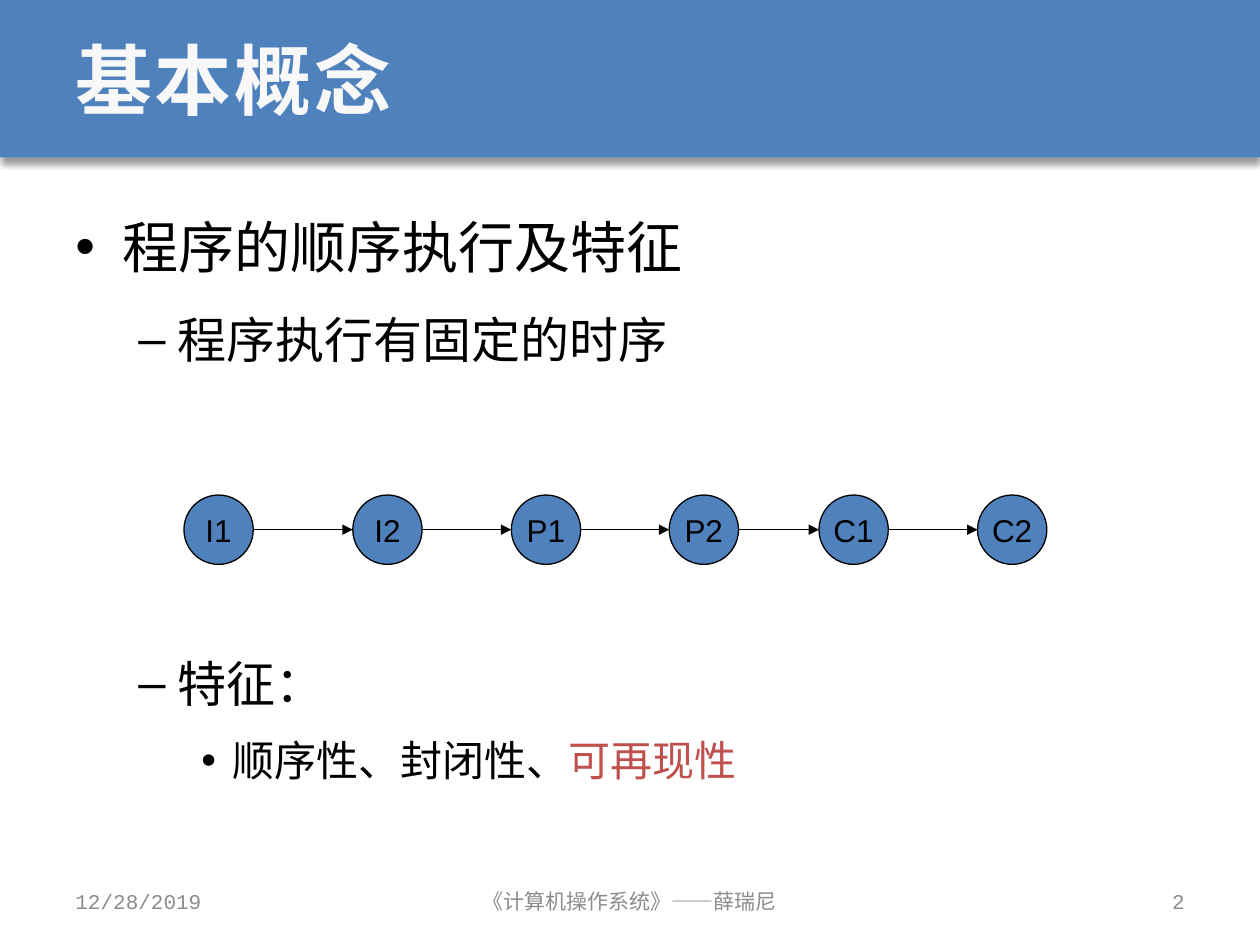
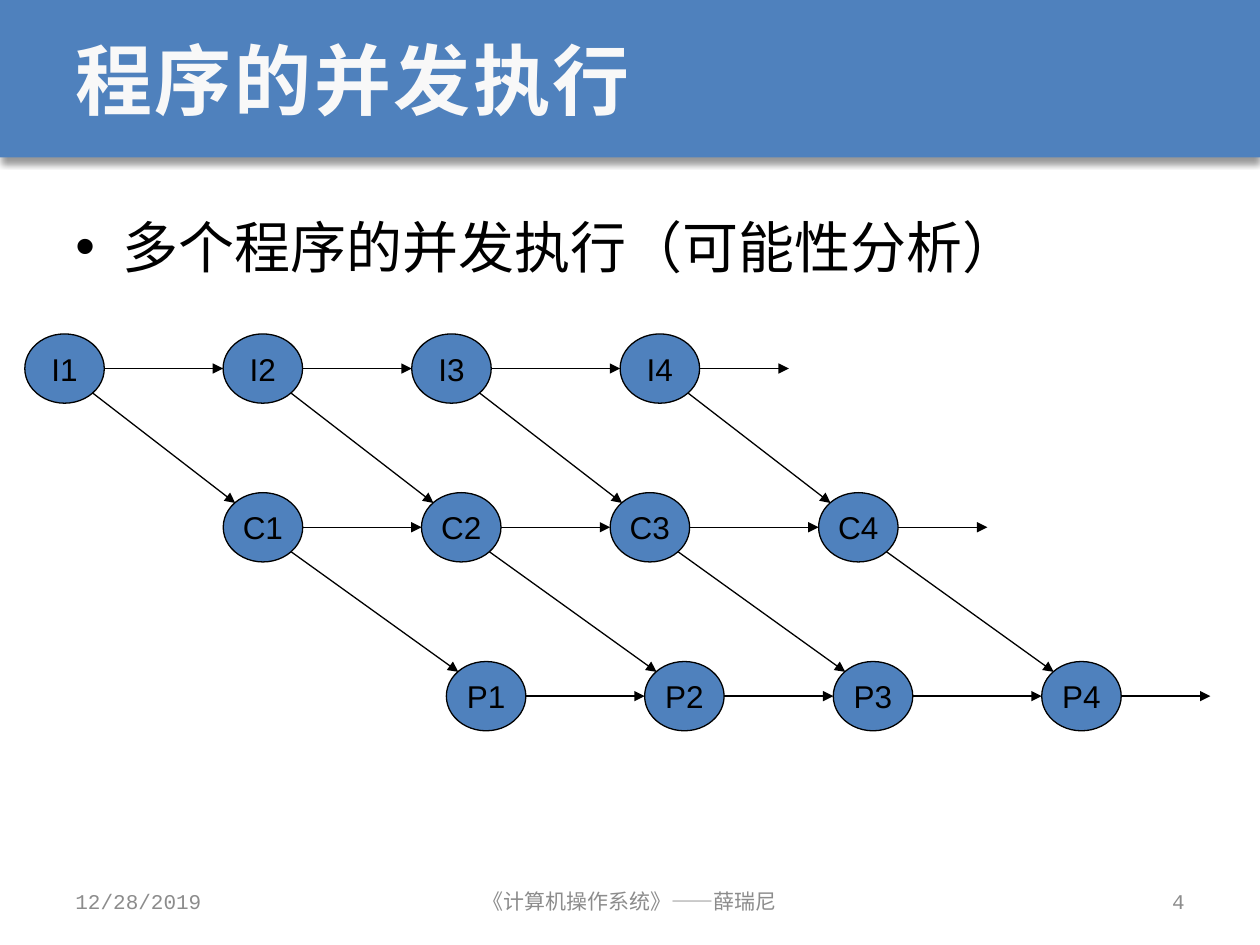
from itertools import pairwise

from lxml import etree
from pptx import Presentation
from pptx import util as u
from pptx.dml.color import RGBColor
from pptx.enum import shapes, text
from pptx.oxml import ns

Pt = u.Pt
BLUE, BLACK, RED, GREY, WHITE = "4F81BD", "000000", "C0504D", "8C8C8C", "F8F8F8"
MONO, SANS = "Courier New", "Arial"
LEFT, CENTER, RIGHT = text.PP_ALIGN.LEFT, text.PP_ALIGN.CENTER, text.PP_ALIGN.RIGHT
MIDDLE = text.MSO_ANCHOR.MIDDLE

# bullet, size, left indent and hanging indent for each outline level
LEVELS = [("•", 32, 27, 27), ("–", 28, 58.5, 22.5), ("•", 24, 90, 18)]

NODE_H = 39.6
ROW_NODE_W = 45.4
CORNER = 0.15  # share of a node's box between its corner and the outline


def rgb(value):
    return RGBColor.from_string(value)


def add_xml(parent, tag, **attrs):
    return etree.SubElement(parent, ns.qn(tag), attrs)


def add_run(p, words, color, **formats):
    r = p.add_run()
    r.text = words
    r.font.color.rgb = rgb(color)
    for key, value in formats.items():
        setattr(r.font, key, value)
    return r


def add_box(s, left, top, width, height, **formats):
    tf = s.shapes.add_textbox(Pt(left), Pt(top), Pt(width), Pt(height)).text_frame
    for key, value in {"word_wrap": True, **formats}.items():
        setattr(tf, key, value)
    return tf


def add_title(s, words):
    """Blue band with a soft shadow, and the title on it."""
    band = s.shapes.add_shape(shapes.MSO_SHAPE.RECTANGLE, 0, 0, Pt(720), Pt(90))
    band.fill.solid()
    band.fill.fore_color.rgb = rgb(BLUE)
    band.line.fill.background()
    effects = add_xml(band._element.spPr, "a:effectLst")
    shadow = add_xml(effects, "a:outerShdw", blurRad=str(Pt(4)), dist=str(Pt(3)),
                     dir="5400000", algn="t", rotWithShape="0")
    add_xml(add_xml(shadow, "a:srgbClr", val=BLACK), "a:alpha", val="40000")

    tf = add_box(s, 36, 0, 648, 90, vertical_anchor=MIDDLE)
    r = add_run(tf.paragraphs[0], words, WHITE, name=MONO, size=Pt(44), bold=True)
    r.font._element.set("spc", "150")


def add_footer(s, number):
    for left, width, align, words in [
        (36, 168, LEFT, "12/28/2019"),
        (246, 228, CENTER, "《计算机操作系统》——薛瑞尼"),
        (516, 168, RIGHT, number),
    ]:
        p = add_box(s, left, 500.5, width, 28.8, vertical_anchor=MIDDLE).paragraphs[0]
        p.alignment = align
        add_run(p, words, GREY, name=MONO, size=Pt(12))


def add_outline(s, items):
    """Bulleted text; an item is level, space before and (words, colour) runs."""
    tf = add_box(s, 36, 106.5, 648, 384, margin_top=Pt(3.2))
    for i, (level, space, runs) in enumerate(items):
        p = tf.add_paragraph() if i else tf.paragraphs[0]
        bullet, size, indent, hanging = LEVELS[level]
        p.level, p.line_spacing, p.space_before = level, 1.3, Pt(space)
        pPr = p._p.get_or_add_pPr()
        pPr.set("marL", str(Pt(indent)))
        pPr.set("indent", str(-Pt(hanging)))
        add_xml(pPr, "a:buFont", typeface=SANS)
        add_xml(pPr, "a:buChar", char=bullet)
        for words, color in runs:
            add_run(p, words, color, name=MONO, size=Pt(size))


def add_node(s, label, left, top, width):
    sp = s.shapes.add_shape(shapes.MSO_SHAPE.OVAL, Pt(left), Pt(top), Pt(width), Pt(NODE_H))
    sp.shadow.inherit = False
    sp.fill.solid()
    sp.fill.fore_color.rgb = rgb(BLUE)
    sp.line.color.rgb = rgb(BLACK)
    sp.line.width = Pt(0.75)
    tf = sp.text_frame
    tf.word_wrap, tf.vertical_anchor = False, MIDDLE
    p = tf.paragraphs[0]
    p.alignment = CENTER
    add_run(p, label, BLACK, name=SANS, size=Pt(18))


def add_arrow(s, x1, y1, x2, y2):
    c = s.shapes.add_connector(shapes.MSO_CONNECTOR.STRAIGHT, Pt(x1), Pt(y1), Pt(x2), Pt(y2))
    c.line.color.rgb = rgb(BLACK)
    c.line.width = Pt(0.75)
    add_xml(c.line._get_or_add_ln(), "a:tailEnd", type="triangle")
    add_xml(c._element.spPr, "a:effectLst")


def add_chain(s, labels, lefts, top, width):
    """Row of nodes, each joined to the next by an arrow."""
    for label, left in zip(labels, lefts):
        add_node(s, label, left, top, width)
    y = top + NODE_H / 2
    for left, following in pairwise(lefts):
        add_arrow(s, left + width, y, following, y)


def add_sequence(s):
    lefts = [105.1, 201.6, 292.2, 382.4, 468, 558.6]
    add_chain(s, ["I1", "I2", "P1", "P2", "C1", "C2"], lefts, 282.9, NODE_H)


def add_pipeline(s):
    """Three staggered rows, joined by diagonal arrows."""
    lefts = [14.2, 127.5, 235.3, 354.4]
    rows = [("I", 0, 190.8), ("C", 113.4, 281.5), ("P", 240.9, 378)]
    for letter, shift, top in rows:
        xs = [x + shift for x in lefts]
        add_chain(s, [f"{letter}{n}" for n in range(1, 5)], xs, top, ROW_NODE_W)
        right, y = xs[-1] + ROW_NODE_W, top + NODE_H / 2
        add_arrow(s, right, y, right + 51, y)
    dx, dy = CORNER * ROW_NODE_W, CORNER * NODE_H
    for (_, shift, top), (_, next_shift, next_top) in pairwise(rows):
        for left in lefts:
            add_arrow(s, left + shift + ROW_NODE_W - dx, top + NODE_H - dy,
                      left + next_shift + dx, next_top + dy)


def main():
    prs = Presentation()
    prs.slide_width, prs.slide_height = Pt(720), Pt(540)
    for title, number, outline, add_diagram in [
        ("基本概念", "2", [
            (0, 0, [("程序的顺序执行及特征", BLACK)]),
            (1, 7, [("程序执行有固定的时序", BLACK)]),
            (1, 153, [("特征：", BLACK)]),
            (2, 4, [("顺序性、封闭性、", BLACK), ("可再现性", RED)]),
        ], add_sequence),
        ("程序的并发执行", "4", [
            (0, 0, [("多个程序的并发执行（可能性分析）", BLACK)]),
        ], add_pipeline),
    ]:
        s = prs.slides.add_slide(prs.slide_layouts[6])
        add_title(s, title)
        add_outline(s, outline)
        add_diagram(s)
        add_footer(s, number)
    prs.save("out.pptx")


if __name__ == "__main__":
    main()
